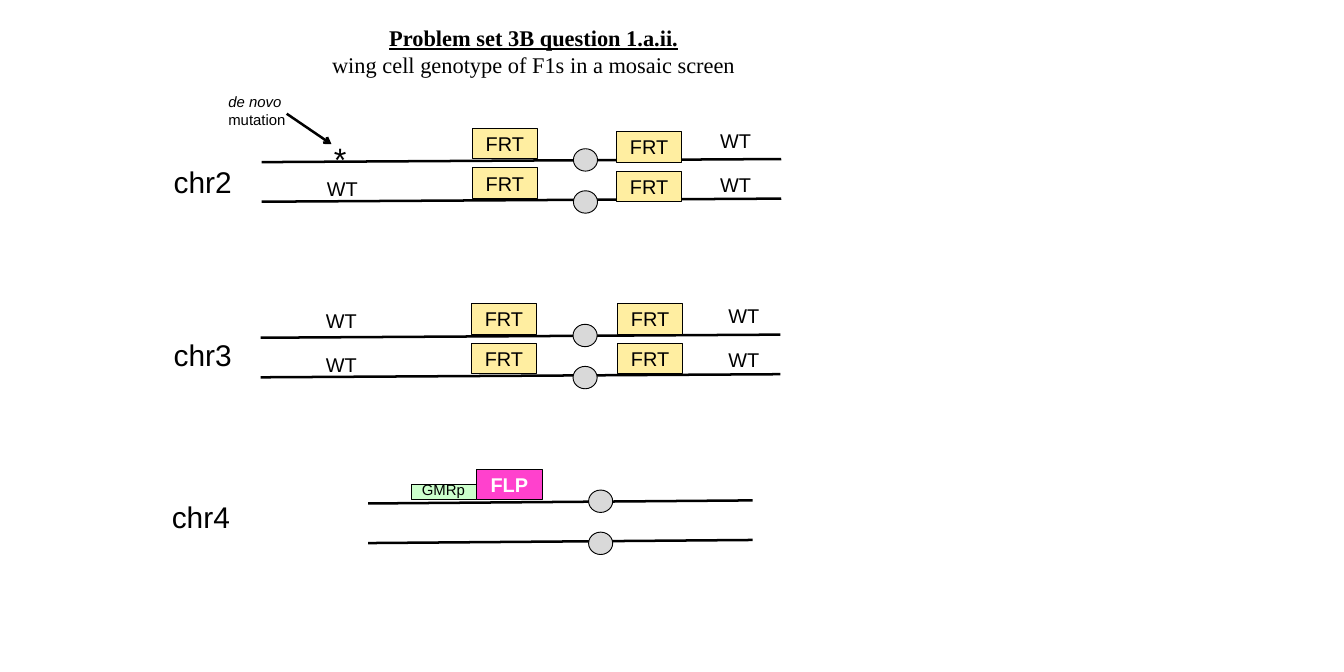
from dataclasses import dataclass

from lxml import etree
from pptx import Presentation
from pptx.dml.color import RGBColor
from pptx.enum import shapes, text
from pptx.oxml import ns
from pptx.util import Pt


@dataclass(frozen=True)
class Theme:
    ink: str = "000000"
    white: str = "FFFFFF"
    centromere: str = "D9D9D9"
    frt: str = "FFEEA1"
    flp: str = "FF41CD"
    promoter: str = "CCFFCC"
    sans: str = "Arial"
    serif: str = "Times New Roman"
    small: float = 12
    body: float = 16
    heading: float = 18
    name: float = 24
    star: float = 26
    outline: float = 0.75
    strand: float = 2


THEME = Theme()
STRAND_GAP = 31.8
LABEL_GAP = 35.5
GENE_SIZE = (52.6, 24.5)
LABEL_SIZE = (55.4, 26.6)
CENTROMERE_SIZE = (19.4, 18)


def add_span(para, words, size=THEME.body, font=THEME.sans, color=THEME.ink,
             bold=False, italic=False, underline=False):
    span = para.add_run()
    span.text = words
    face = span.font
    face.size, face.name = Pt(size), font
    face.bold, face.italic, face.underline = bold, italic, underline
    face.color.rgb = RGBColor.from_string(color)


def add_label(page, left, top, width, height, words="", wrap=True, **style):
    """Add a text box and return its first paragraph."""
    box = page.shapes.add_textbox(Pt(left), Pt(top), Pt(width), Pt(height))
    box.text_frame.word_wrap = wrap
    para = box.text_frame.paragraphs[0]
    if words:
        add_span(para, words, **style)
    return para


def add_block(page, kind, left, top, width, height, fill, words="", **style):
    block = page.shapes.add_shape(kind, Pt(left), Pt(top), Pt(width), Pt(height))
    block.shadow.inherit = False
    block.fill.solid()
    block.fill.fore_color.rgb = RGBColor.from_string(fill)
    block.line.color.rgb = RGBColor.from_string(THEME.ink)
    block.line.width = Pt(THEME.outline)
    if words:
        frame = block.text_frame
        frame.vertical_anchor = text.MSO_ANCHOR.MIDDLE
        frame.paragraphs[0].alignment = text.PP_ALIGN.CENTER
        add_span(frame.paragraphs[0], words, **style)


def add_line(page, start_x, start_y, end_x, end_y, arrow=False):
    line = page.shapes.add_connector(
        shapes.MSO_CONNECTOR.STRAIGHT, Pt(start_x), Pt(start_y), Pt(end_x), Pt(end_y))
    line.line.color.rgb = RGBColor.from_string(THEME.ink)
    line.line.width = Pt(THEME.strand)
    if arrow:
        etree.SubElement(line.line._get_or_add_ln(), ns.qn("a:tailEnd"), type="arrow")
    etree.SubElement(line._element.spPr, ns.qn("a:effectLst"))


def add_title(page, left, top, width, height):
    first = add_label(page, left, top, width, height, "Problem set 3B question 1.a.ii.",
                      wrap=False, size=THEME.heading, font=THEME.serif,
                      bold=True, underline=True)
    second = first._parent.add_paragraph()
    add_span(second, "wing cell genotype of F1s in a mosaic screen",
             size=THEME.heading, font=THEME.serif)
    for para in (first, second):
        para.alignment = text.PP_ALIGN.CENTER


def add_chromosome_pair(page, name, name_at, left, top, width, centromere):
    """Draw two homologs; top is the left end of the upper strand."""
    for row in range(2):
        y = top + row * STRAND_GAP
        add_line(page, left, y, left + width, y - 2.5)
    for row in range(2):
        add_block(page, shapes.MSO_SHAPE.OVAL, left + centromere,
                  top - 10.8 + row * 33.8, *CENTROMERE_SIZE, THEME.centromere)
    add_label(page, *name_at, 64.8, 36, name, size=THEME.name)


def add_frt_pair(page, left, top):
    for row in range(2):
        add_block(page, shapes.MSO_SHAPE.RECTANGLE, left, top + row * STRAND_GAP,
                  *GENE_SIZE, THEME.frt, "FRT")


def add_wild_types(page, left, top, rows=(0, 1)):
    for row in rows:
        add_label(page, left, top + row * LABEL_GAP, *LABEL_SIZE, "WT")


def add_chr2(page, left, top, width):
    add_chromosome_pair(page, "chr2", (132.5, top - 2.1), left, top, width, 250.6)
    add_frt_pair(page, left + 169.2, top - 27.2)
    add_frt_pair(page, left + 285.1, top - 24.5)
    add_wild_types(page, left + 45.4, top - 27.3, rows=(1,))
    add_wild_types(page, left + 361.5, top - 30.7)
    add_label(page, left + 51.1, top - 22.3, 36.7, 38.9, "*", size=THEME.star)
    add_line(page, left + 20.2, top - 38.9, left + 56.2, top - 14.4, arrow=True)
    note = add_label(page, left - 33.8, top - 59.7, 62.6, 36)
    add_span(note, "de novo", size=THEME.small, italic=True)
    add_span(note, " mutation", size=THEME.small)


def add_chr3(page, left, top, width):
    add_chromosome_pair(page, "chr3", (132.5, top - 4.3), left, top, width, 251.0)
    for offset in (169.2, 286.6):
        add_frt_pair(page, left + offset, top - 27.3)
    add_wild_types(page, left + 45.4, top - 27.3)
    add_wild_types(page, left + 368.7, top - 30.9)


def add_chr4(page, left, top, width):
    add_chromosome_pair(page, "chr4", (131, top - 7.2), left, top, width, 177.1)
    add_block(page, shapes.MSO_SHAPE.RECTANGLE, left + 87.1, top - 27.3, *GENE_SIZE,
              THEME.flp, "FLP", color=THEME.white, bold=True)
    add_block(page, shapes.MSO_SHAPE.RECTANGLE, left + 34.6, top - 15.1, 52.6, 12.2,
              THEME.promoter)
    add_label(page, left + 36, top - 21.6, 51.8, 21.6, "GMRp", size=THEME.small)


def main():
    deck = Presentation()
    deck.slide_width, deck.slide_height = Pt(1080), Pt(540)
    page = deck.slides.add_slide(deck.slide_layouts[6])
    add_title(page, 232.6, 15.8, 392.4, 50.4)
    add_chr2(page, 210.2, 130.3, 417.6)
    add_chr3(page, 209.5, 271.4, 417.6)
    add_chr4(page, 295.9, 404.6, 308.9)
    deck.save("out.pptx")


if __name__ == "__main__":
    main()
